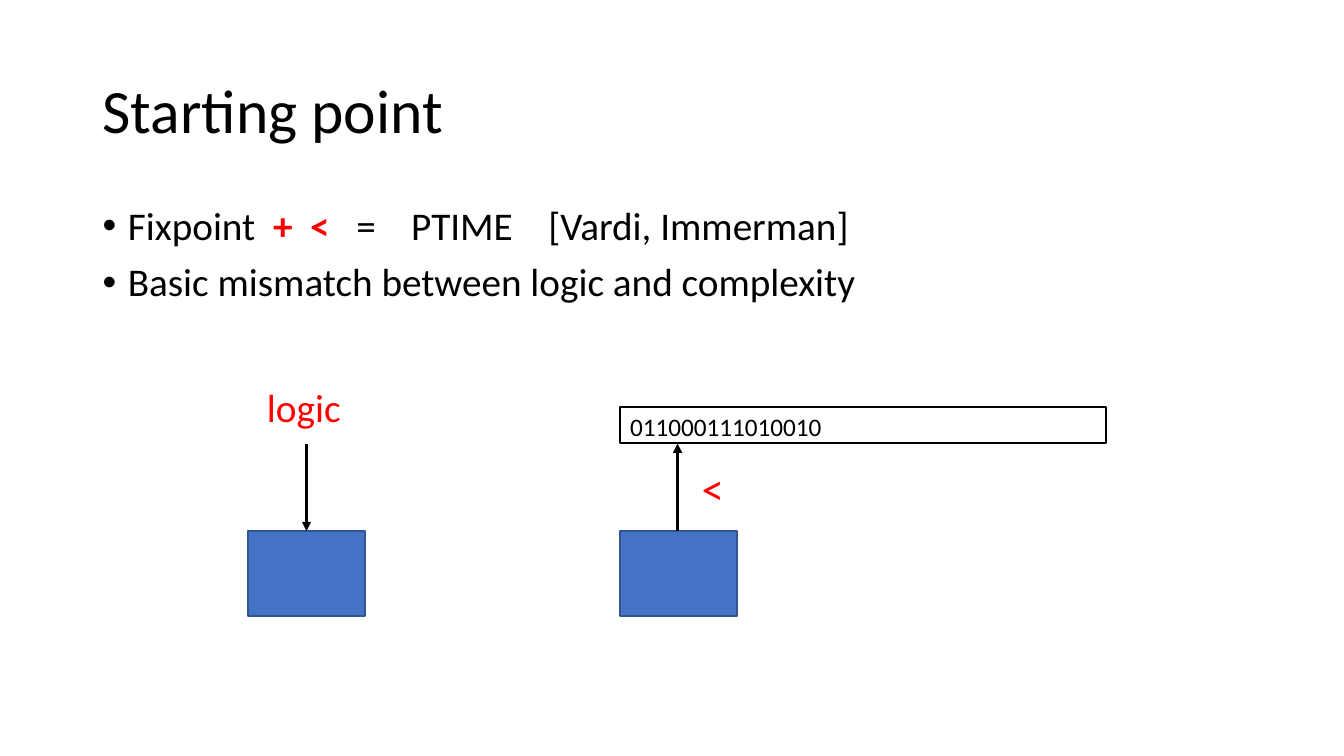
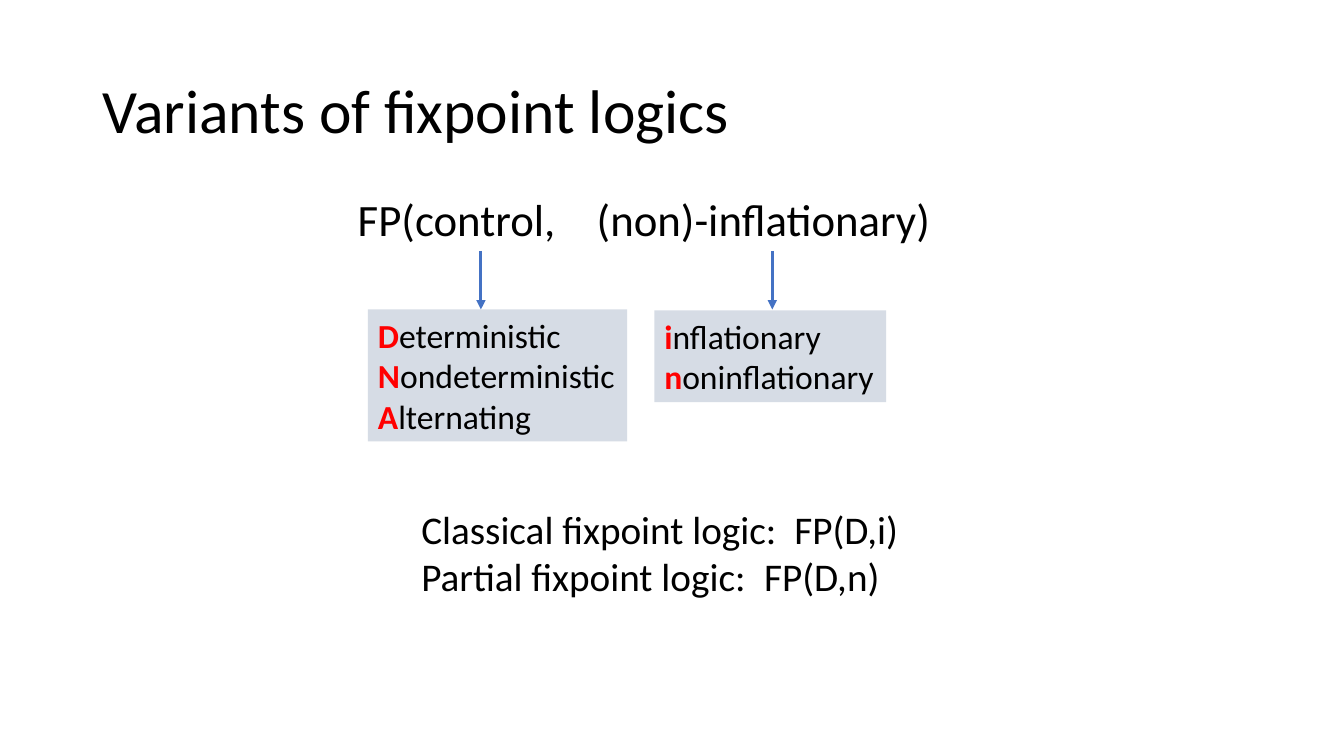
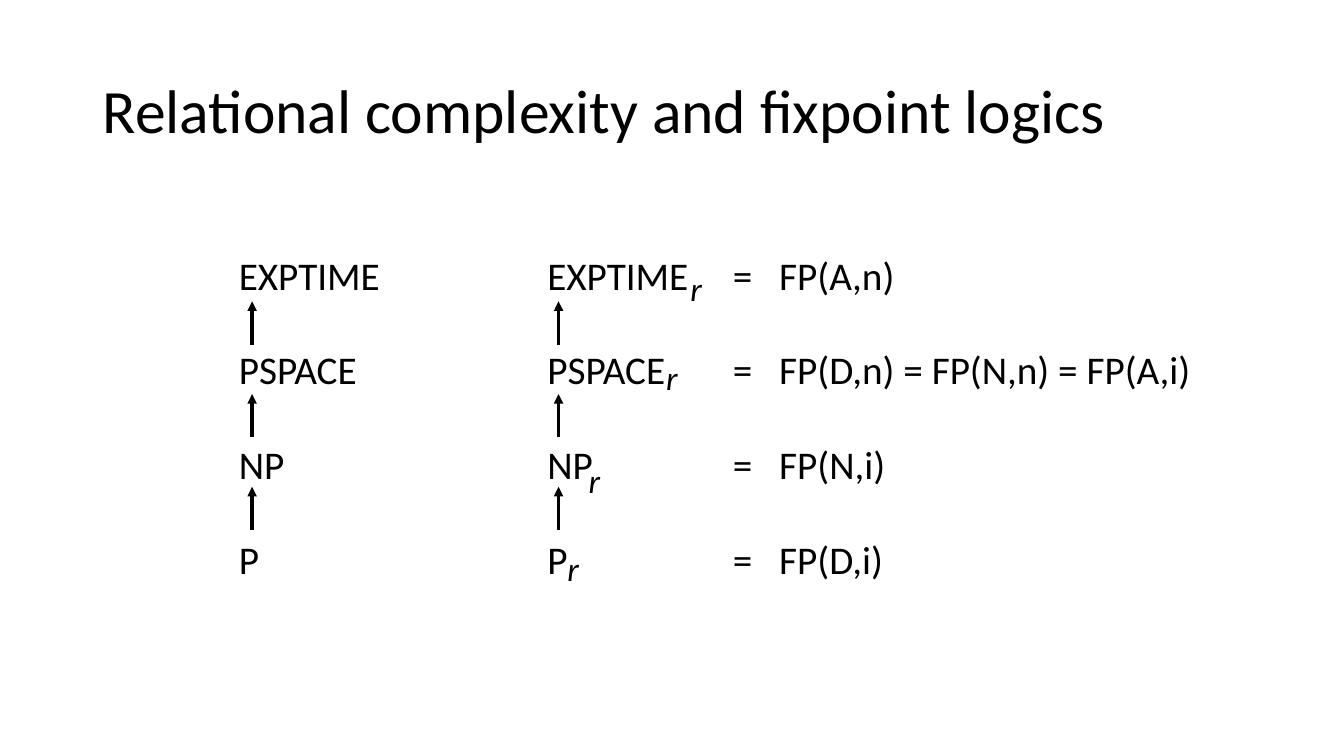
"""Build three slides on fixpoint logics and relational complexity."""
from lxml import etree
from pptx import Presentation
from pptx import util as u
from pptx.dml.color import RGBColor
from pptx.enum import shapes, text
from pptx.oxml import ns

BLACK, RED, BLUE, EDGE, PALE, WHITE = "000000", "FF0000", "4472C4", "325491", "D6DCE5", "FFFFFF"
FONT = "Calibri"
SPACE_WIDTH = 633

rgb = RGBColor.from_string

prs = Presentation()
prs.slide_width, prs.slide_height = u.Inches(13.33), u.Inches(7.5)


def add_box(s, at, lines=(), size=28, color=BLACK, fill=None, edge=None, tabs=()):
    """Add a box of lines; each line is a list of (text, is_key), key parts are red and bold."""
    place = [u.Inches(v) for v in at]
    if fill:
        sp = s.shapes.add_shape(shapes.MSO_SHAPE.RECTANGLE, *place)
        sp.shadow.inherit = False
        sp.fill.solid()
        sp.fill.fore_color.rgb = rgb(fill)
        sp.line.fill.background()
    else:
        sp = s.shapes.add_textbox(*place)
    if edge:
        edge_color, edge_width = edge
        sp.line.color.rgb = rgb(edge_color)
        sp.line.width = u.Pt(edge_width)
    tf = sp.text_frame
    tf.word_wrap = True
    for i, line in enumerate(lines):
        p = tf.paragraphs[0] if i == 0 else tf.add_paragraph()
        p.alignment = text.PP_ALIGN.LEFT
        for part, is_key in line:
            r = p.add_run()
            r.text = part
            r.font.name, r.font.size, r.font.bold = FONT, u.Pt(size), is_key
            r.font.color.rgb = rgb(RED if is_key else color)
    for p, stops in zip(tf.paragraphs, tabs):
        tab_list = etree.SubElement(p._p.get_or_add_pPr(), ns.qn("a:tabLst"))
        for stop in stops:
            etree.SubElement(tab_list, ns.qn("a:tab"), pos=str(u.Inches(stop)), algn="l")
    return sp


def add_arrow(s, x, start, end, color=BLACK):
    """Add a vertical arrow from start to end."""
    c = s.shapes.add_connector(shapes.MSO_CONNECTOR.STRAIGHT, u.Inches(x), u.Inches(start),
                               u.Inches(x), u.Inches(end))
    c.line.color.rgb = rgb(color)
    c.line.width = u.Pt(2.25)
    spPr = c._element.spPr
    etree.SubElement(spPr.find(ns.qn("a:ln")), ns.qn("a:tailEnd"), type="triangle")
    etree.SubElement(spPr, ns.qn("a:effectLst"))


slides = []
for title in ("Starting point", "Variants of fixpoint logics",
              "Relational complexity and fixpoint logics"):
    s = prs.slides.add_slide(prs.slide_layouts[6])
    tf = add_box(s, (0.92, 0.4, 11.5, 1.45), [[(title, False)]], 44).text_frame
    tf.vertical_anchor = text.MSO_ANCHOR.MIDDLE
    tf.paragraphs[0].line_spacing = 0.9
    slides.append(s)
starting, variants, relational = slides

equation = [("Fixpoint", False), (" ", False), ("+", True), (" ", True), ("<", True),
            (" ", False), ("=", False), (" ", False), ("PTIME", False), (" ", False),
            ("[Vardi, Immerman]", False)]
mismatch = [("Basic mismatch between logic and complexity", False)]
bullets = add_box(starting, (0.92, 2, 11.5, 4.76), [equation, mismatch]).text_frame.paragraphs
gaps = [r for r in bullets[0].runs if r.text == " "]
for gap, width in zip(gaps, (2, 2, 3, 4, 4)):
    gap._r.get_or_add_rPr().set("spc", str((width - 1) * SPACE_WIDTH))
for p in bullets:
    p.line_spacing, p.space_before = 0.9, u.Pt(10)
    pPr = p._p.get_or_add_pPr()
    pPr.set("marL", str(u.Inches(0.25)))
    pPr.set("indent", str(u.Inches(-0.25)))
    etree.SubElement(pPr, ns.qn("a:buFont"), typeface="Arial")
    etree.SubElement(pPr, ns.qn("a:buChar"), char="•")

add_box(starting, (6.15, 4.04, 4.82, 0.36), fill=WHITE, edge=(BLACK, 1.5))
for x in (2.46, 6.15):
    add_box(starting, (x, 5.27, 1.16, 0.84), fill=BLUE, edge=(EDGE, 1))
add_arrow(starting, 3.04, 4.4, 5.27)
add_arrow(starting, 6.72, 5.27, 4.4)
for label, at, size, color in (("logic", (2.55, 3.75, 0.94, 0.57), 28, RED),
                               ("011000111010010", (6.15, 4.03, 2.12, 0.4), 18, BLACK),
                               ("<", (6.86, 4.52, 0.43, 0.64), 32, RED)):
    add_box(starting, at, [[(label, False)]], size, color)

add_box(variants, (3.45, 1.85, 5.94, 0.64), [[("FP(control,\t(non)-inflationary)", False)]], 32,
        tabs=[[2.37]])
for x, at, options in (
        (4.77, (3.65, 3.07, 2.57, 1.31), ("Deterministic", "Nondeterministic", "Alternating")),
        (7.66, (6.49, 3.08, 2.3, 0.91), ("inflationary", "noninflationary"))):
    add_box(variants, at, [[(word[0], True), (word[1:], False)] for word in options], 24, fill=PALE)
    add_arrow(variants, x, 2.49, 3.07, BLUE)
add_box(variants, (4.08, 4.96, 4.99, 1.04),
        [[("Classical fixpoint logic:\tFP(D,i)", False)],
         [("Partial fixpoint logic:\tFP(D,n)", False)]], tabs=[[3.7], [3.4]])

classes = {"EXPTIME": "FP(A,n)", "PSPACE": "FP(D,n) = FP(N,n) = FP(A,i)",
           "NP": "FP(N,i)", "P": "FP(D,i)"}
names = [[(name, False)] for name in classes]
equalities = [[(f"{name}\t=\t{logic}", False)] for name, logic in classes.items()]
for column in (add_box(relational, (2.27, 2.44, 1.92, 3.4), names),
               add_box(relational, (5.33, 2.44, 7.09, 3.4), equalities,
                       tabs=[[1.84, 2.3]] * len(classes))):
    for p in column.text_frame.paragraphs[:-1]:
        p.space_after = u.Pt(34)
for x, y in ((6.75, 2.61), (6.51, 3.49), (5.74, 4.51), (5.53, 5.39)):
    subscript = add_box(relational, (x, y, 0.33, 0.5), [[("r", False)]], 24)
    subscript.text_frame.paragraphs[0].runs[0].font.italic = True
for x in (2.5, 5.54):
    for step in range(len(classes) - 1):
        y = 3.42 + 0.92 * step
        add_arrow(relational, x, y, y - 0.43)

prs.save("out.pptx")
